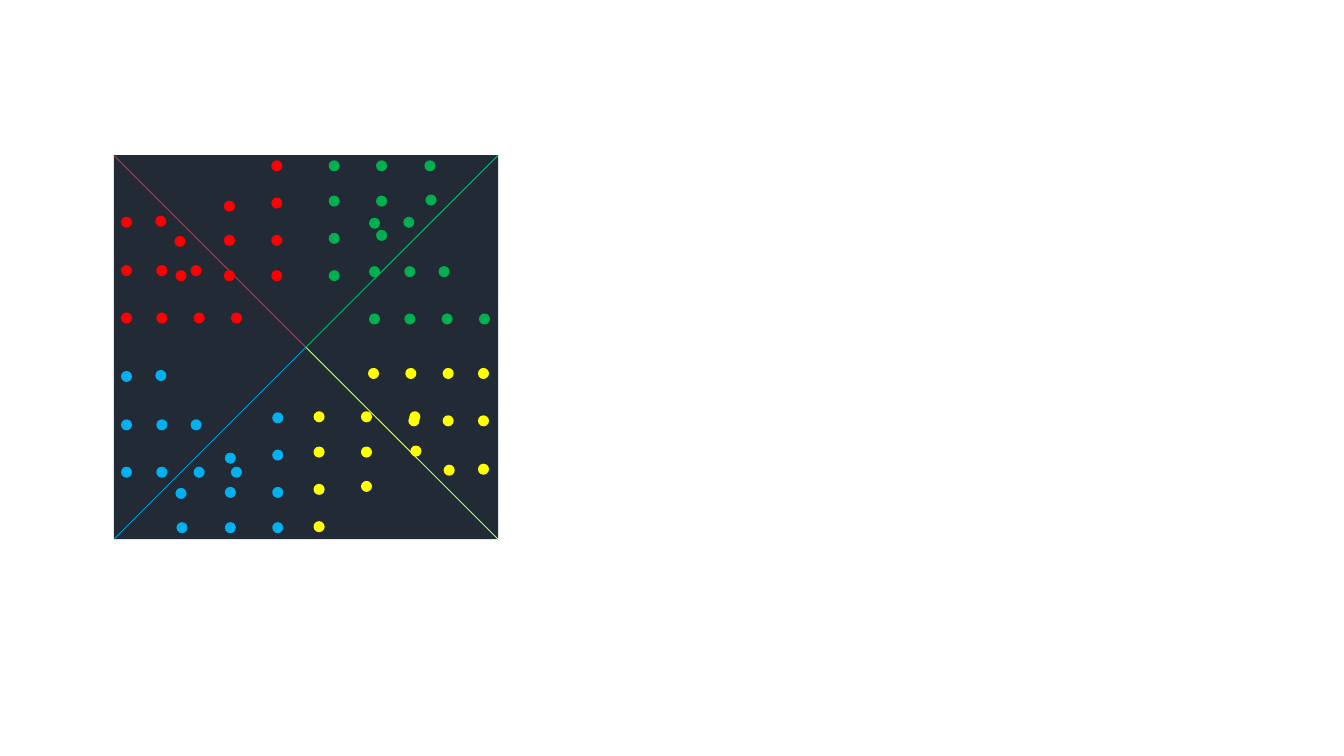
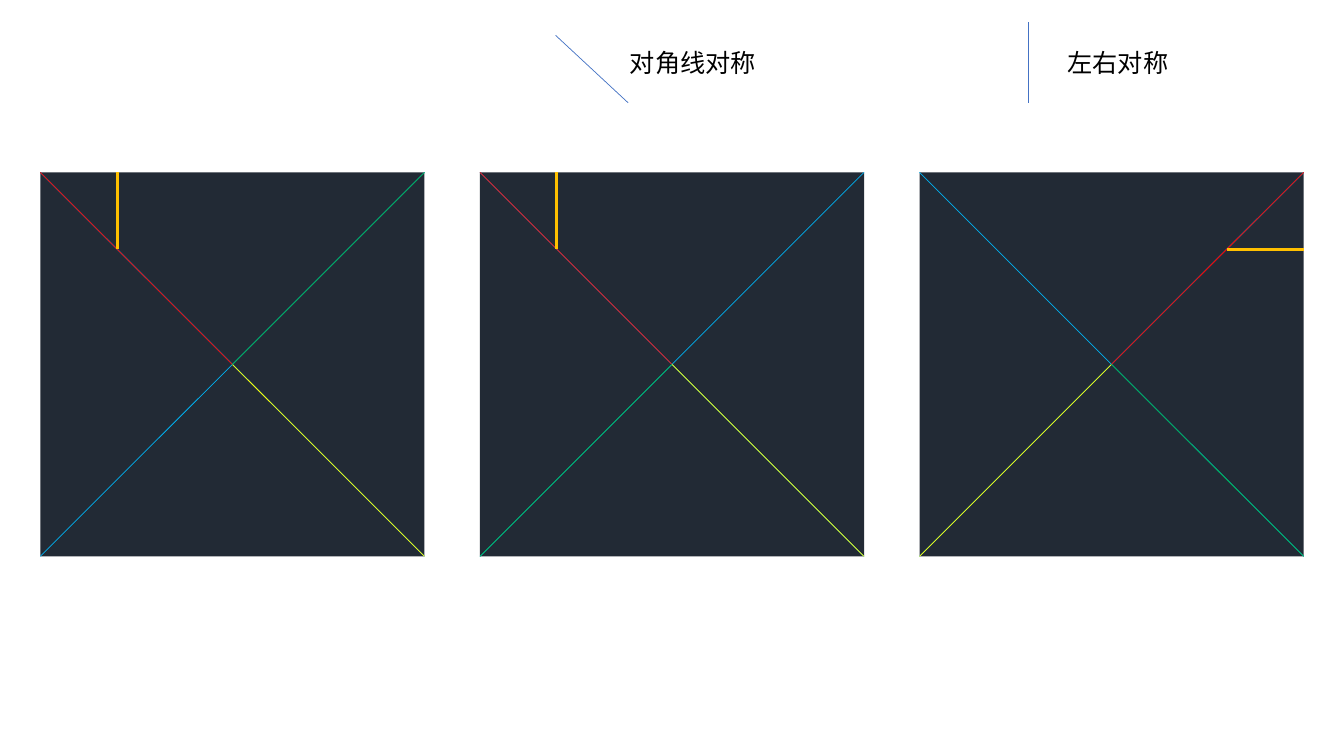
"""Build two slides of symmetric square panels with diagonals, dots and legends."""
from dataclasses import dataclass

from lxml.etree import SubElement
from pptx import Presentation
from pptx.dml.color import RGBColor
from pptx.enum.shapes import MSO_CONNECTOR as Connector, MSO_SHAPE as Shape
from pptx.enum.text import MSO_AUTO_SIZE as AutoSize
from pptx.oxml.ns import qn
from pptx.util import Inches, Pt


@dataclass(frozen=True)
class Theme:
    panel: str = "222A35"
    red: str = "FF0000"
    green: str = "00B050"
    blue: str = "00B0F0"
    yellow: str = "FFFF00"
    tick: str = "FFC000"
    legend: str = "4472C4"
    text: str = "000000"
    font: str = "Noto Sans CJK SC"
    text_size: int = 18
    thin: float = 0.5
    thick: float = 2


THEME = Theme()
SLIDE_WIDTH, SLIDE_HEIGHT = 13.33, 7.5
SIDE = 3.81
DOT = 0.11

TOP_LEFT, TOP_RIGHT, CENTRE = (0, 0), (1, 0), (0.5, 0.5)
BOTTOM_LEFT, BOTTOM_RIGHT = (0, 1), (1, 1)

DIAGONALS = [
    (TOP_LEFT, BOTTOM_RIGHT, THEME.blue),
    (BOTTOM_LEFT, TOP_RIGHT, THEME.blue),
    (TOP_LEFT, CENTRE, THEME.red),
    (CENTRE, BOTTOM_RIGHT, THEME.yellow),
]
GREEN_UP = (TOP_RIGHT, CENTRE, THEME.green)
GREEN_DOWN = (CENTRE, BOTTOM_LEFT, THEME.green)
TICK = ((0.2, 0), (0.2, 0.2))

DOT_PANEL = (1.13, 1.54)
CLUSTER = [
    (0, 0), (0.34, -0.01),
    (0, 0.48), (0.35, 0.48), (0.69, 0.48),
    (0, 0.95), (0.35, 0.95), (0.72, 0.95), (1.09, 0.95),
]
CLUSTERS = [
    (THEME.red, (1.2, 2.15), 0),
    (THEME.blue, (1.2, 3.68), 0),
    (THEME.red, (1.74, 2.68), 3),
    (THEME.green, (4.21, 1.59), 1),
    (THEME.yellow, (4.74, 4.6), 2),
    (THEME.green, (3.66, 2.16), 0),
    (THEME.blue, (1.75, 5.18), 3),
    (THEME.yellow, (4.06, 4.08), 1),
]

PANEL_LEFT, PANEL_TOP, PANEL_STEP = 0.4, 1.71, 4.36
SYMMETRY_PANELS = [(GREEN_UP, 0), (GREEN_DOWN, 0), (GREEN_UP, 1)]
LEGENDS = [
    ("对角线对称", 6.15, False, (5.51, 0.35), (6.23, 1.02)),
    ("左右对称", 10.49, True, (10.2, 0.22), (10.2, 1.02)),
]
LABEL_TOP, LABEL_WIDTH, LABEL_HEIGHT = 0.42, 1.46, 0.4


def quarter_turns(point, turns, centre=(0, 0)):
    x, y = point[0] - centre[0], point[1] - centre[1]
    for _ in range(turns):
        x, y = -y, x
    return centre[0] + x, centre[1] + y


def add_line(shapes, start, end, colour, width=THEME.thin):
    line = shapes.add_connector(
        Connector.STRAIGHT, *(Inches(length) for length in (*start, *end)))
    line.line.color.rgb = RGBColor.from_string(colour)
    line.line.width = Pt(width)
    SubElement(line._element.spPr, qn("a:effectLst"))


def add_filled(shapes, preset, corner, size, colour):
    filled = shapes.add_shape(
        preset, *(Inches(length) for length in (*corner, size, size)))
    filled.shadow.inherit = False
    filled.fill.solid()
    filled.fill.fore_color.rgb = RGBColor.from_string(colour)
    filled.line.fill.background()


def add_panel(slide, corner, green, turns=0, tick=False):
    shapes = slide.shapes.add_group_shape().shapes

    def place(share):
        x, y = quarter_turns(share, turns, CENTRE)
        return corner[0] + x * SIDE, corner[1] + y * SIDE

    add_filled(shapes, Shape.RECTANGLE, corner, SIDE, THEME.panel)
    for start, end, colour in [*DIAGONALS, green]:
        add_line(shapes, place(start), place(end), colour)
    if tick:
        add_line(shapes, *map(place, TICK), THEME.tick, THEME.thick)
    return shapes


def add_label(slide, words, left, wrap):
    label = slide.shapes.add_textbox(
        Inches(left), Inches(LABEL_TOP), Inches(LABEL_WIDTH), Inches(LABEL_HEIGHT))
    frame = label.text_frame
    frame.word_wrap = wrap
    frame.auto_size = AutoSize.SHAPE_TO_FIT_TEXT
    paragraph = frame.paragraphs[0]
    paragraph.font.size = Pt(THEME.text_size)
    paragraph.font.name = THEME.font
    paragraph.font.color.rgb = RGBColor.from_string(THEME.text)
    run = paragraph.add_run()
    run.text = words
    SubElement(run._r.get_or_add_rPr(), qn("a:ea"), typeface=THEME.font)


def build_dots(slide):
    shapes = add_panel(slide, DOT_PANEL, GREEN_UP)
    for colour, (left, top), turns in CLUSTERS:
        for offset in CLUSTER:
            x, y = quarter_turns(offset, turns)
            add_filled(shapes, Shape.OVAL, (left + x, top + y), DOT, colour)


def build_symmetry(slide):
    for column, (green, turns) in enumerate(SYMMETRY_PANELS):
        corner = (PANEL_LEFT + column * PANEL_STEP, PANEL_TOP)
        add_panel(slide, corner, green, turns, tick=True)
    for words, left, wrap, start, end in LEGENDS:
        add_line(slide.shapes, start, end, THEME.legend)
        add_label(slide, words, left, wrap)


deck = Presentation()
deck.slide_width, deck.slide_height = Inches(SLIDE_WIDTH), Inches(SLIDE_HEIGHT)
blank = deck.slide_layouts[6]
for build in (build_dots, build_symmetry):
    build(deck.slides.add_slide(blank))
deck.save("out.pptx")
